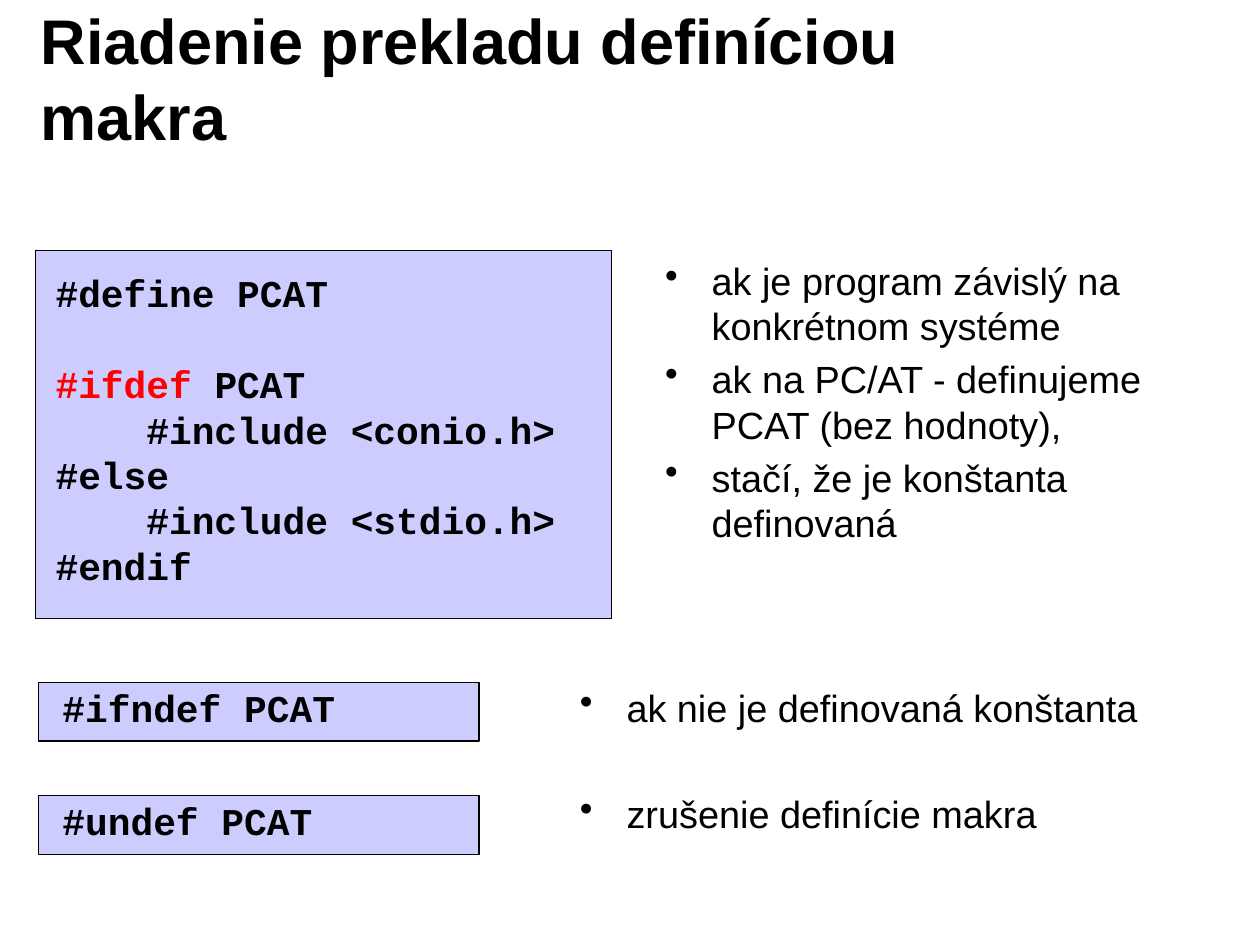
from dataclasses import dataclass

import pptx
import pptx.dml.color
import pptx.enum.shapes
import pptx.enum.text
import pptx.oxml.ns
import pptx.util
from lxml import etree

Inches = pptx.util.Inches
Pt = pptx.util.Pt
Anchor = pptx.enum.text.MSO_ANCHOR

BLACK = "000000"
RED = "FF0000"
LAVENDER = "CCCCFF"
HANGING = 0.41
CODE_INDENT = 0.8
BLANK_LINE = 28.8


@dataclass
class Box:
    left: float
    top: float
    width: float
    height: float

    def lengths(self) -> list:
        return [Inches(v) for v in (self.left, self.top, self.width, self.height)]


@dataclass
class Run:
    text: str
    color: str = BLACK


@dataclass
class Line:
    runs: list[Run]
    space_before: float = 0
    indent: float = 0
    bullet: bool = False


@dataclass
class Style:
    font: str
    size: float
    bold: bool


@dataclass
class Example:
    """A code panel and the bullets that explain it."""
    panel: Box
    code_box: Box
    code: list[Line]
    bullet_box: Box
    bullets: list[str]


TITLE = Style("Arial", 40, True)
BULLET = Style("Arial", 24, False)
CODE = Style("Courier New", 24, True)


def rgb(color: str) -> pptx.dml.color.RGBColor:
    return pptx.dml.color.RGBColor.from_string(color)


def set_indent(paragraph, line: Line) -> None:
    properties = paragraph._p.get_or_add_pPr()
    properties.set("marL", str(Inches(line.indent)))
    properties.set("indent", str(-Inches(line.indent) if line.bullet else 0))
    if line.bullet:
        bullet_tag = pptx.oxml.ns.qn("a:buChar")
        etree.SubElement(properties, bullet_tag).set("char", "•")


def add_text(slide, box: Box, lines: list[Line], style: Style, anchor=Anchor.TOP) -> None:
    frame = slide.shapes.add_textbox(*box.lengths()).text_frame
    frame.word_wrap = True
    frame.vertical_anchor = anchor
    frame.margin_left = frame.margin_right = Inches(0.11)
    frame.margin_top = frame.margin_bottom = Inches(0.06)
    for index, line in enumerate(lines):
        paragraph = frame.add_paragraph() if index else frame.paragraphs[0]
        paragraph.space_before = Pt(line.space_before)
        set_indent(paragraph, line)
        for part in line.runs:
            run = paragraph.add_run()
            run.text = part.text
            run.font.name = style.font
            run.font.size = Pt(style.size)
            run.font.bold = style.bold
            run.font.color.rgb = rgb(part.color)


def add_panel(slide, box: Box) -> None:
    rectangle = pptx.enum.shapes.MSO_SHAPE.RECTANGLE
    shape = slide.shapes.add_shape(rectangle, *box.lengths())
    shape.shadow.inherit = False
    shape.fill.solid()
    shape.fill.fore_color.rgb = rgb(LAVENDER)
    shape.line.color.rgb = rgb(BLACK)
    shape.line.width = Pt(0.75)


def add_example(slide, example: Example) -> None:
    add_panel(slide, example.panel)
    add_text(slide, example.code_box, example.code, CODE)
    bullets = [Line([Run(text)], 0.2 * BULLET.size, HANGING, True) for text in example.bullets]
    add_text(slide, example.bullet_box, bullets, BULLET)


def short_example(top: float, directive: str, bullet: str, bullet_top: float) -> Example:
    return Example(
        Box(0.34, top, 3.88, 0.52),
        Box(0.44, top - 0.04, 3.59, 0.52),
        [Line([Run(directive)])],
        Box(5, bullet_top, 5.83, 0.7),
        [bullet],
    )


EXAMPLES = [
    Example(
        Box(0.31, 2.21, 5.08, 3.24),
        Box(0.38, 2.32, 5.26, 2.94),
        [
            Line([Run("#define PCAT")]),
            Line([Run("#ifdef ", RED), Run("PCAT")], space_before=BLANK_LINE),
            Line([Run("#include <conio.h>")], indent=CODE_INDENT),
            Line([Run("#else")]),
            Line([Run("#include <stdio.h>")], indent=CODE_INDENT),
            Line([Run("#endif")]),
        ],
        Box(5.75, 2.21, 5.16, 3.24),
        [
            "ak je program závislý na konkrétnom systéme",
            "ak na PC/AT - definujeme PCAT (bez hodnoty),",
            "stačí, že je konštanta definovaná",
        ],
    ),
    short_example(6.01, "#ifndef PCAT", "ak nie je definovaná konštanta", 5.97),
    short_example(7.01, "#undef PCAT", "zrušenie definície makra", 6.91),
]


def main() -> None:
    presentation = pptx.Presentation()
    presentation.slide_width = Inches(11.1)
    presentation.slide_height = Inches(8.3)
    slide = presentation.slides.add_slide(presentation.slide_layouts[6])
    title = [Line([Run("Riadenie prekladu definíciou makra")])]
    add_text(slide, Box(0.25, 0.17, 8.91, 1.02), title, TITLE, Anchor.MIDDLE)
    for example in EXAMPLES:
        add_example(slide, example)
    presentation.save("out.pptx")


if __name__ == "__main__":
    main()
